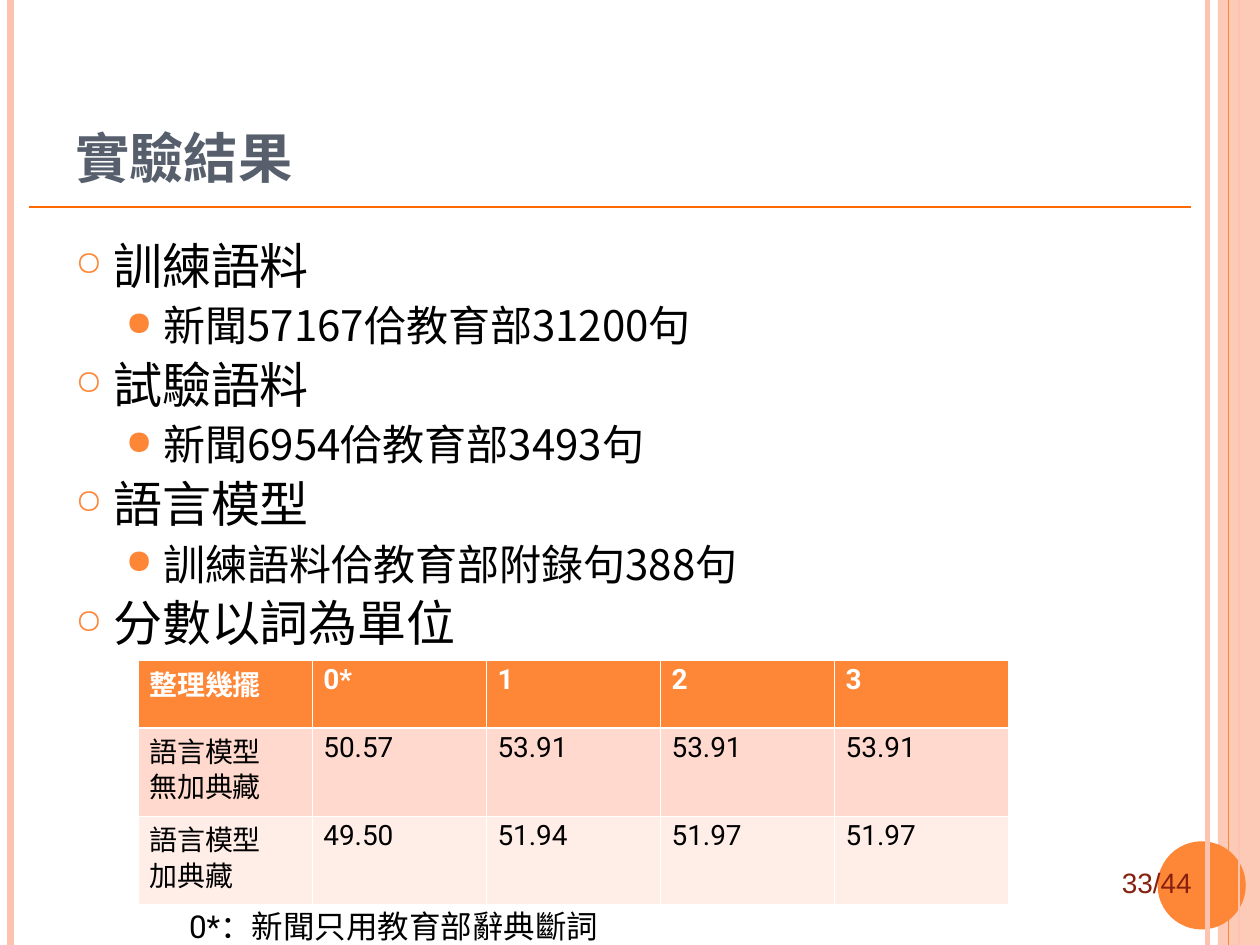
"""Build the experiment results slide with its corpus list and score table."""
from lxml import etree
from pptx import Presentation
from pptx.dml.color import RGBColor
from pptx.enum.shapes import MSO_CONNECTOR, MSO_SHAPE
from pptx.enum.text import MSO_ANCHOR
from pptx.oxml.ns import qn
from pptx.util import Pt

STRAIGHT = MSO_CONNECTOR.STRAIGHT
RECTANGLE = MSO_SHAPE.RECTANGLE
OVAL = MSO_SHAPE.OVAL
BOTTOM = MSO_ANCHOR.BOTTOM
TOP = MSO_ANCHOR.TOP

ORANGE = RGBColor(0xFE, 0x86, 0x37)
DEEP_ORANGE = RGBColor(0xFF, 0x69, 0x03)
PEACH = RGBColor(0xFE, 0xC3, 0xAE)
ROW_DARK = RGBColor(0xFF, 0xD9, 0xCE)
ROW_LIGHT = RGBColor(0xFF, 0xED, 0xE8)
SLATE = RGBColor(0x57, 0x5F, 0x6D)
MAROON = RGBColor(0x86, 0x21, 0x10)
BLACK = RGBColor(0, 0, 0)
WHITE = RGBColor(0xFF, 0xFF, 0xFF)


def style_font(font, name, size, color, bold=False):
    font.name = name
    font.size = Pt(size)
    font.color.rgb = color
    font.bold = bold


def add_text_frame(left, top, width, height, anchor=TOP):
    box = slide.shapes.add_textbox(Pt(left), Pt(top), Pt(width), Pt(height))
    box.text_frame.word_wrap = True
    box.text_frame.vertical_anchor = anchor
    return box.text_frame


presentation = Presentation()
presentation.slide_width = Pt(720)
presentation.slide_height = Pt(540)
slide = presentation.slides.add_slide(presentation.slide_layouts[6])

band = slide.shapes.add_shape(RECTANGLE, Pt(696), Pt(0), Pt(24), Pt(540))
disc = slide.shapes.add_shape(OVAL, Pt(661.5), Pt(480.75), Pt(50.4), Pt(50.4))
for shape, color in ((band, PEACH), (disc, ORANGE)):
    shape.shadow.inherit = False
    shape.fill.solid()
    shape.fill.fore_color.rgb = color
    shape.line.fill.background()
band_color = band.fill._xPr.find(qn("a:solidFill"))[0]
etree.SubElement(band_color, qn("a:alpha"), val="87000")

rules = [
    (690, 0, 690, 540, PEACH, 3),
    (6, 0, 6, 540, PEACH, 4.5),
    (708, 0, 708, 540, PEACH, 1.5),
    (702, 0, 702, 540, ORANGE, 0.75),
    (16.75, 118.2, 680.5, 118.2, DEEP_ORANGE, 1),
]
for start_x, start_y, end_x, end_y, color, width in rules:
    rule = slide.shapes.add_connector(
        STRAIGHT, Pt(start_x), Pt(start_y), Pt(end_x), Pt(end_y))
    rule.line.color.rgb = color
    rule.line.width = Pt(width)
    etree.SubElement(rule._element.spPr, qn("a:effectLst"))

page_frame = add_text_frame(634, 491, 86, 27)
page_frame.text = "33/44"
style_font(page_frame.paragraphs[0].font, "Arial", 16, MAROON)

title_frame = add_text_frame(36, 21.6, 622, 90, BOTTOM)
title_frame.text = "實驗結果"
style_font(title_frame.paragraphs[0].font, "Montserrat", 31, SLATE, True)

levels = [
    {"size": 28, "bullet": "○", "percent": "70000", "margin": 21.6},
    {"size": 24, "bullet": "●", "percent": "80000", "margin": 50.4},
]
corpus_lines = [
    (0, "訓練語料"),
    (1, "新聞57167佮教育部31200句"),
    (0, "試驗語料"),
    (1, "新聞6954佮教育部3493句"),
    (0, "語言模型"),
    (1, "訓練語料佮教育部附錄句388句"),
    (0, "分數以詞為單位"),
]
corpus_frame = add_text_frame(36, 134.6, 588, 242.6)
corpus_frame.text = "\n".join(text for _, text in corpus_lines)
for index, (level, _) in enumerate(corpus_lines):
    paragraph = corpus_frame.paragraphs[index]
    look = levels[level]
    paragraph.level = level
    paragraph.line_spacing = 0.9
    paragraph.space_before = Pt(6 if index else 0)
    properties = paragraph._p.get_or_add_pPr()
    properties.set("marL", str(Pt(look["margin"])))
    properties.set("indent", str(Pt(-21.6)))
    bullet_color = etree.SubElement(properties, qn("a:buClr"))
    etree.SubElement(bullet_color, qn("a:srgbClr"), val=str(ORANGE))
    etree.SubElement(properties, qn("a:buSzPct"), val=look["percent"])
    etree.SubElement(properties, qn("a:buChar"), char=look["bullet"])
    style_font(paragraph.font, "Noto Sans CJK SC", look["size"], BLACK)

score_rows = [
    ("整理幾擺", "0*", "1", "2", "3"),
    ("語言模型\n無加典藏", "50.57", "53.91", "53.91", "53.91"),
    ("語言模型\n加典藏", "49.50", "51.94", "51.97", "51.97"),
]
row_looks = [
    (38.5, ORANGE, WHITE, 0.45, 1.47),
    (50.4, ROW_DARK, BLACK, 1.47, 0.45),
    (50.4, ROW_LIGHT, BLACK, 0.45, 0.45),
]
table = slide.shapes.add_table(
    3, 5, Pt(78.8), Pt(377.4), Pt(497.5), Pt(139.3)).table
for column in table.columns:
    column.width = Pt(99.5)
for row, texts, look in zip(table.rows, score_rows, row_looks):
    height, fill, color, top_width, bottom_width = look
    row.height = Pt(height)
    borders = {"L": 0.45, "R": 0.45, "T": top_width, "B": bottom_width}
    for cell, text in zip(row.cells, texts):
        cell.text = text
        cell.margin_left = cell.margin_right = Pt(6.5)
        cell.margin_top = cell.margin_bottom = Pt(3.6)
        cell_properties = cell._tc.get_or_add_tcPr()
        for side, width in borders.items():
            border = etree.SubElement(
                cell_properties, qn(f"a:ln{side}"), w=str(Pt(width)))
            border_fill = etree.SubElement(border, qn("a:solidFill"))
            etree.SubElement(border_fill, qn("a:srgbClr"), val=str(WHITE))
        cell.fill.solid()
        cell.fill.fore_color.rgb = fill
        for paragraph in cell.text_frame.paragraphs:
            paragraph.line_spacing = 0.88
            style_font(paragraph.font, "Roboto", 16, color, fill == ORANGE)

note_frame = add_text_frame(101.5, 513.4, 259, 28)
note_frame.margin_left = note_frame.margin_right = Pt(6.5)
note_frame.margin_top = Pt(5)
note_frame.margin_bottom = Pt(3)
note_paragraph = note_frame.paragraphs[0]
note_runs = [("0*：", "Roboto"), ("新聞", "Arial"), ("只用教育部辭典斷詞", "Roboto")]
for text, font_name in note_runs:
    run = note_paragraph.add_run()
    run.text = text
    style_font(run.font, font_name, 18, BLACK)

presentation.save("out.pptx")
